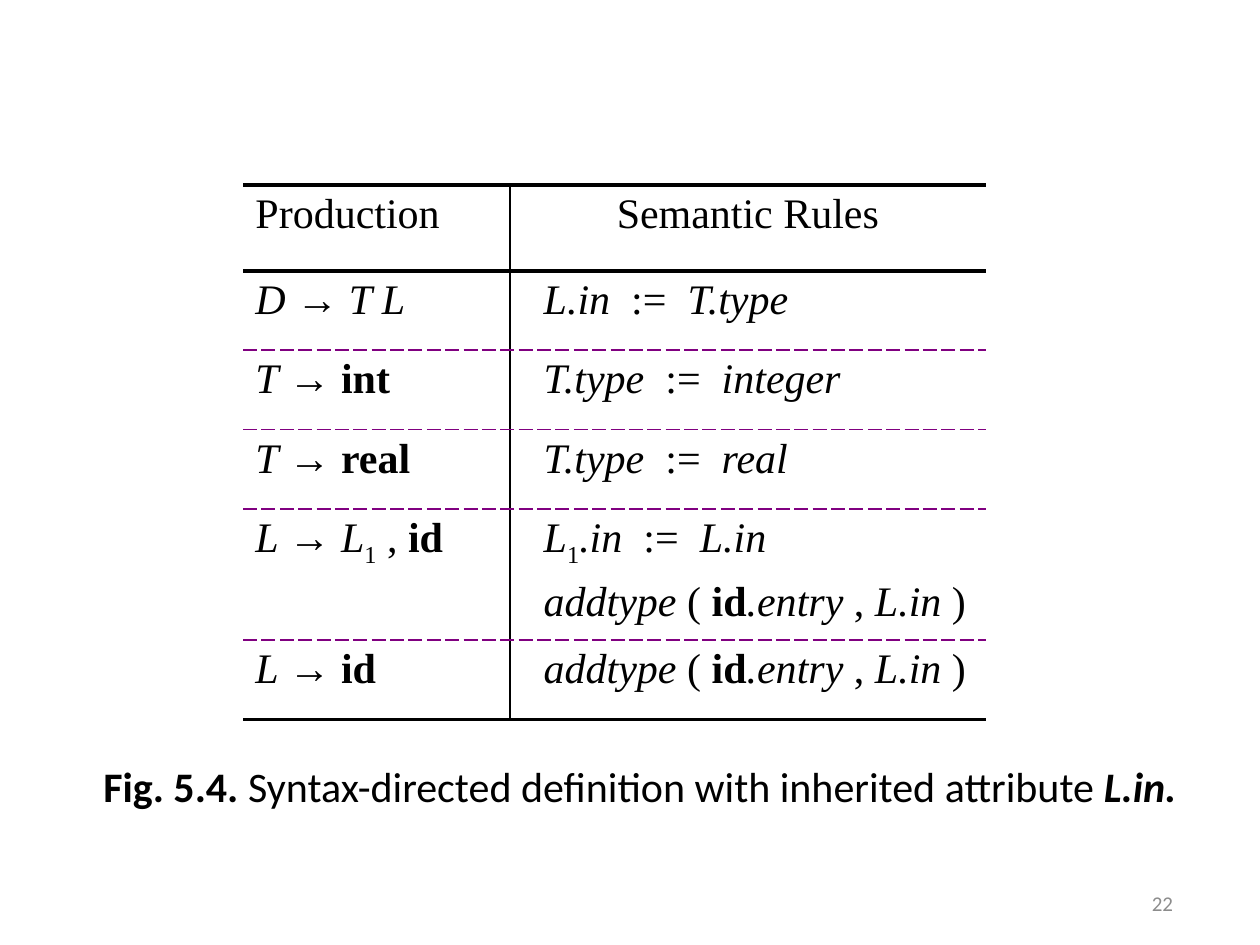
from dataclasses import dataclass
from typing import NamedTuple, Optional

from lxml.etree import SubElement
from pptx import Presentation
from pptx.dml.color import RGBColor
from pptx.enum.text import MSO_ANCHOR, MSO_AUTO_SIZE, PP_ALIGN
from pptx.oxml.ns import qn
from pptx.util import Cm, Pt

COLORS = {"text": "000000", "rule": "000000", "dash": "800080", "number": "8C8C8C"}
SERIF, SANS = "Times New Roman", "Calibri"


class Run(NamedTuple):
    text: str
    style: str = ""  # any of b (bold), i (italic), s (subscript)


class Border(NamedTuple):
    color: str
    width: float
    dash: str = "solid"


@dataclass
class Row:
    production: list[Run]
    rules: list[list[Run]]
    height: float = 1.6
    align: PP_ALIGN = PP_ALIGN.LEFT
    indent: float = 0.68


THICK = Border("rule", 2.25)
THIN = Border("rule", 1)
DASHED = Border("dash", 1, "sysDash")

# Grammar rows
ARROW, ASSIGN, ID = Run("→ "), Run(":=  "), Run("id", "b")
ADDTYPE = [Run("addtype ", "i"), Run("( "), ID, Run(".entry ", "i"), Run(","),
           Run(" L.in ", "i"), Run(")")]
ROWS = [
    Row([Run("Production")], [[Run("Semantic Rules")]], 1.73, PP_ALIGN.CENTER, 0.25),
    Row([Run("D ", "i"), ARROW, Run("T L", "i")],
        [[Run("L.in  ", "i"), ASSIGN, Run("T.type", "i")]]),
    Row([Run("T ", "i"), ARROW, Run("int", "b")],
        [[Run("T.type  ", "i"), ASSIGN, Run("integer", "i")]]),
    Row([Run("T ", "i"), ARROW, Run("real", "b")],
        [[Run("T.type  ", "i"), ASSIGN, Run("real", "i")]]),
    Row([Run("L ", "i"), ARROW, Run("L", "i"), Run("1", "s"), Run(" , "), ID],
        [[Run("L", "i"), Run("1", "s"), Run(".in  ", "i"), ASSIGN, Run("L.in", "i")],
         ADDTYPE], 2.64),
    Row([Run("L ", "i"), ARROW, ID], [ADDTYPE]),
]


def add_runs(p, runs: list[Run], font: str, size: float = 24, color: str = "text") -> None:
    for run in runs:
        r = p.add_run()
        r.text = run.text
        formats = {"name": font, "size": Pt(size), "bold": "b" in run.style,
                   "italic": "i" in run.style}
        for name, value in formats.items():
            setattr(r.font, name, value)
        r.font.color.rgb = RGBColor.from_string(COLORS[color])
        if "s" in run.style:
            r.font._element.set("baseline", "-25000")


def set_borders(cell, borders: dict[str, Optional[Border]]) -> None:
    tc_pr = cell._tc.get_or_add_tcPr()
    for i, side in enumerate("LRTB"):
        border = borders.get(side)
        ln = SubElement(tc_pr, qn(f"a:ln{side}"))
        tc_pr.insert(i, ln)  # borders come before the fill
        if border is None:
            SubElement(ln, qn("a:noFill"))
            continue
        ln.set("w", str(int(Pt(border.width))))
        fill = SubElement(ln, qn("a:solidFill"))
        SubElement(fill, qn("a:srgbClr")).set("val", COLORS[border.color])
        SubElement(ln, qn("a:prstDash")).set("val", border.dash)


def fill_cell(cell, lines: list[list[Run]], align: PP_ALIGN, indent: float) -> None:
    cell.fill.background()
    cell.margin_left = Cm(indent)
    tf = cell.text_frame
    for i, runs in enumerate(lines):
        p = tf.add_paragraph() if i else tf.paragraphs[0]
        p.alignment = align
        if i:
            p.space_before = Pt(6)
        add_runs(p, runs, SERIF)


def add_grammar_table(s, rows: list[Row]) -> None:
    widths = [5.38, 9.6]
    table = s.shapes.add_table(len(rows), 2, Cm(4.9), Cm(3.73), Cm(sum(widths)),
                               Cm(sum(row.height for row in rows))).table
    table.first_row = table.horz_banding = False
    for column, width in zip(table.columns, widths):
        column.width = Cm(width)
    # Horizontal rules from the top edge to the bottom edge
    rules = [THICK, THICK] + [DASHED] * (len(rows) - 2) + [THICK]
    for i, row in enumerate(rows):
        table.rows[i].height = Cm(row.height)
        left, right = table.cell(i, 0), table.cell(i, 1)
        fill_cell(left, [row.production], PP_ALIGN.LEFT, 0.25)
        fill_cell(right, row.rules, row.align, row.indent)
        edges = {"T": rules[i], "B": rules[i + 1]}
        set_borders(left, {**edges, "R": THIN})
        set_borders(right, {**edges, "L": THIN})


def set_line(sp, runs: list[Run], align: PP_ALIGN, size: float, color: str) -> None:
    tf = sp.text_frame
    formats = {"word_wrap": True, "auto_size": MSO_AUTO_SIZE.NONE,
               "vertical_anchor": MSO_ANCHOR.MIDDLE}
    for name, value in formats.items():
        setattr(tf, name, value)
    p = tf.paragraphs[0]
    p.alignment = align
    add_runs(p, runs, SANS, size, color)


def main() -> None:
    prs = Presentation()
    prs.slide_width, prs.slide_height = Cm(25.4), Cm(19.05)
    s = prs.slides.add_slide(prs.slide_layouts[5])

    # Caption in the title placeholder
    title = s.shapes.title
    frame = {"left": 1.7, "top": 14.94, "width": 22.4, "height": 1.8}
    for name, value in frame.items():
        setattr(title, name, Cm(value))
    caption = [Run("Fig. 5.4.", "b"),
               Run(" Syntax-directed definition with inherited attribute "),
               Run("L.in.", "bi")]
    set_line(title, caption, PP_ALIGN.CENTER, 24, "text")

    add_grammar_table(s, ROWS)

    # Slide number
    number = s.shapes.add_textbox(Cm(18.62), Cm(17.58), Cm(5.28), Cm(1.27))
    set_line(number, [Run("22")], PP_ALIGN.RIGHT, 12, "number")

    prs.save("out.pptx")


if __name__ == "__main__":
    main()
